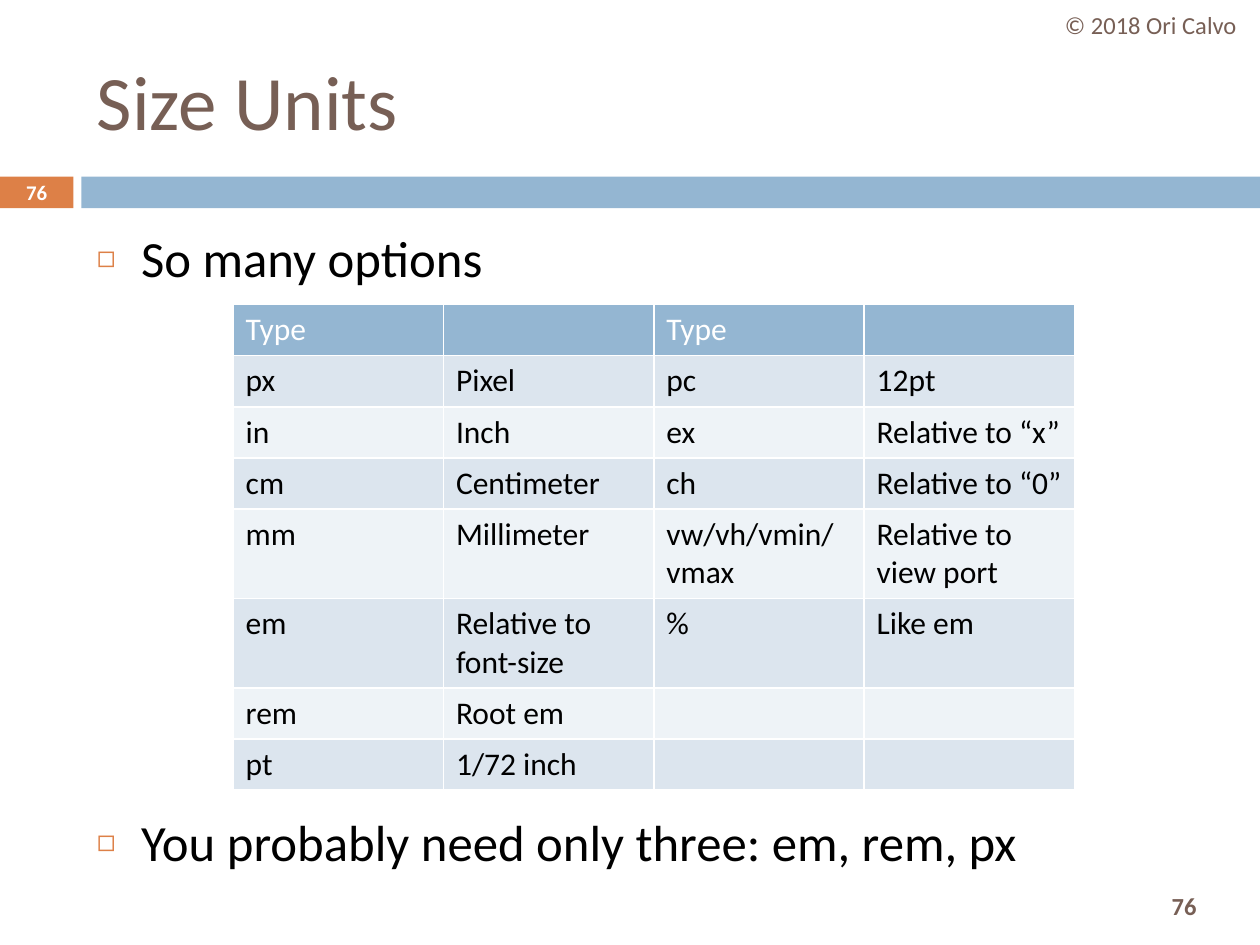
"""Build the Size Units slide with its table of CSS units."""
from lxml import etree
from pptx import Presentation
from pptx.dml.color import RGBColor
from pptx.enum.shapes import MSO_SHAPE
from pptx.enum.text import MSO_ANCHOR, MSO_AUTO_SIZE, PP_ALIGN
from pptx.oxml.ns import qn
from pptx.util import Cm, Pt

RECTANGLE = MSO_SHAPE.RECTANGLE
TOP, MIDDLE = MSO_ANCHOR.TOP, MSO_ANCHOR.MIDDLE
LEFT, CENTER = PP_ALIGN.LEFT, PP_ALIGN.CENTER
NO_AUTOFIT = MSO_AUTO_SIZE.NONE

FONT = "Calibri"
COLORS = {
    "brown": "775F55", "orange": "DD8047", "blue": "94B6D2",
    "dark_band": "DCE5EE", "light_band": "EEF3F7",
    "white": "FFFFFF", "black": "000000",
}
TITLE = "Size Units"
TITLE_BOX = (1.7, 0.64, 22.66, 2.74)
BODY_BOX = (1.7, 4.45, 22.66, 13.69)
BULLETS = [("So many options", 0), ("You probably need only three: em, rem, px", 299)]
BULLET_INDENT = 0.89
BARS = [((0, 3.56, 1.48, 0.64), "orange"), ((1.64, 3.56, 23.76, 0.64), "blue")]
LABELS = [
    ("76", (22.7, 17.73, 2.34, 1.07), {"size": 14, "color": "brown", "bold": True}),
    ("© 2018 Ori Calvo", (21, 0, 4.4, 1), {"size": 14, "color": "brown"}),
    ("76", (0, 3.53, 1.48, 0.69), {"size": 11.9, "color": "white", "bold": True}),
]
TABLE_LEFT, TABLE_TOP = 4.7, 6.14
COLUMN_WIDTH, ROW_HEIGHT = 4.24, 1.03
CELL_RIGHT_MARGIN = 0.2
UNITS = [
    ("Type", "", "Type", ""),
    ("px", "Pixel", "pc", "12pt"),
    ("in", "Inch", "ex", "Relative to “x”"),
    ("cm", "Centimeter", "ch", "Relative to “0”"),
    ("mm", "Millimeter", "vw/vh/vmin/vmax", "Relative to view port"),
    ("em", "Relative to font-size", "%", "Like em"),
    ("rem", "Root em", "", ""),
    ("pt", "1/72 inch", "", ""),
]


def rgb(name):
    return RGBColor.from_string(COLORS[name])


def place(shape, box):
    shape.left, shape.top, shape.width, shape.height = map(Cm, box)


def write_text(paragraph, text, size=18, color="black", bold=False, align=LEFT, before=0):
    paragraph.alignment = align
    paragraph.space_before = Pt(before)
    run = paragraph.add_run()
    run.text = text
    run.font.name, run.font.size, run.font.bold = FONT, Pt(size), bold
    run.font.color.rgb = rgb(color)


def set_frame(text_frame, anchor):
    text_frame.word_wrap = True
    text_frame.auto_size = NO_AUTOFIT
    text_frame.vertical_anchor = anchor


def add_bullet(paragraph):
    properties = paragraph._p.get_or_add_pPr()
    properties.set("marL", str(Cm(BULLET_INDENT)))
    properties.set("indent", str(-Cm(BULLET_INDENT)))
    bullet_color = etree.SubElement(properties, qn("a:buClr"))
    etree.SubElement(bullet_color, qn("a:srgbClr"), val=COLORS["orange"])
    etree.SubElement(properties, qn("a:buSzPct"), val="60000")
    etree.SubElement(properties, qn("a:buChar"), char="◻")


def add_borders(cell):
    properties = cell._tc.get_or_add_tcPr()
    for side in "LRTB":
        line = etree.SubElement(properties, qn(f"a:ln{side}"), w=str(Pt(1)))
        fill = etree.SubElement(line, qn("a:solidFill"))
        etree.SubElement(fill, qn("a:srgbClr"), val=COLORS["white"])


def add_bars(slide):
    for box, color in BARS:
        bar = slide.shapes.add_shape(RECTANGLE, *map(Cm, box))
        bar.shadow.inherit = False
        bar.fill.solid()
        bar.fill.fore_color.rgb = rgb(color)
        bar.line.fill.background()


def add_labels(slide):
    for text, box, style in LABELS:
        label = slide.shapes.add_textbox(*map(Cm, box))
        set_frame(label.text_frame, MIDDLE)
        write_text(label.text_frame.paragraphs[0], text, align=CENTER, **style)


def fill_placeholders(slide):
    title, body = slide.shapes.title, slide.placeholders[1]
    place(title, TITLE_BOX)
    set_frame(title.text_frame, MIDDLE)
    write_text(title.text_frame.paragraphs[0], TITLE, size=44, color="brown")
    place(body, BODY_BOX)
    frame = body.text_frame
    set_frame(frame, TOP)
    for index, (text, before) in enumerate(BULLETS):
        paragraph = frame.add_paragraph() if index else frame.paragraphs[0]
        add_bullet(paragraph)
        write_text(paragraph, text, size=29, before=before)


def add_units_table(slide):
    row_count, column_count = len(UNITS), len(UNITS[0])
    box = (TABLE_LEFT, TABLE_TOP, COLUMN_WIDTH * column_count, ROW_HEIGHT * row_count)
    table = slide.shapes.add_table(row_count, column_count, *map(Cm, box)).table
    for column in table.columns:
        column.width = Cm(COLUMN_WIDTH)
    for row_index, values in enumerate(UNITS):
        table.rows[row_index].height = Cm(ROW_HEIGHT)
        header = row_index == 0
        band = "blue" if header else ("light_band", "dark_band")[row_index % 2]
        for column_index, text in enumerate(values):
            cell = table.cell(row_index, column_index)
            cell.margin_right = Cm(CELL_RIGHT_MARGIN)
            add_borders(cell)
            cell.fill.solid()
            cell.fill.fore_color.rgb = rgb(band)
            if text:
                write_text(cell.text_frame.paragraphs[0], text,
                           color="white" if header else "black")


def main():
    presentation = Presentation()
    presentation.slide_width, presentation.slide_height = Cm(25.4), Cm(19.05)
    slide = presentation.slides.add_slide(presentation.slide_layouts[1])
    add_bars(slide)
    fill_placeholders(slide)
    add_labels(slide)
    add_units_table(slide)
    presentation.save("out.pptx")


if __name__ == "__main__":
    main()
